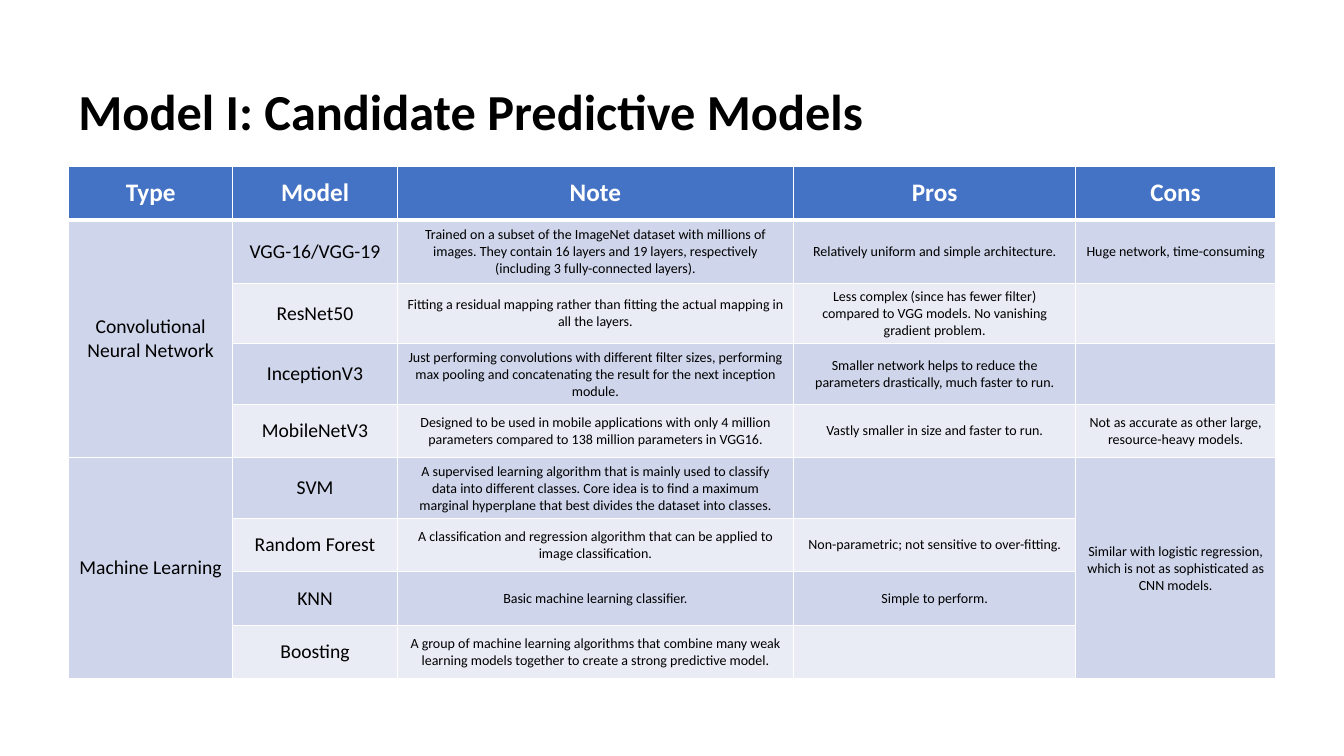
from dataclasses import dataclass

import pptx
import pptx.dml.color
import pptx.enum.text
import pptx.oxml
import pptx.oxml.ns
import pptx.util

Inches = pptx.util.Inches
Pt = pptx.util.Pt
RGB = pptx.dml.color.RGBColor.from_string
ALIGN = pptx.enum.text.PP_ALIGN
MIDDLE = pptx.enum.text.MSO_ANCHOR.MIDDLE


@dataclass(frozen=True)
class Theme:
    font: str = "Calibri"
    ink: str = "000000"
    white: str = "FFFFFF"
    header: str = "4472C4"
    bands: tuple[str, str] = ("CFD5EA", "E9EBF5")
    title_size: int = 36
    header_size: int = 18
    name_size: int = 14
    detail_size: int = 10
    border: int = 1
    header_border: int = 3


@dataclass(frozen=True)
class Candidate:
    model: str
    note: str
    pros: str = ""
    cons: str = ""
    type: str = ""


@dataclass(frozen=True)
class Style:
    size: int
    color: str
    bold: bool = False


THEME = Theme()
TITLE = Style(THEME.title_size, THEME.ink, True)
HEADER = Style(THEME.header_size, THEME.white, True)
NAME = Style(THEME.name_size, THEME.ink)
DETAIL = Style(THEME.detail_size, THEME.ink)

HEADINGS = ("Type", "Model", "Note", "Pros", "Cons")
COL_WIDTHS = (1.63, 1.63, 3.93, 2.8, 1.98)
ROW_HEIGHTS = (0.53, 0.63) + (0.53,) * 7
MERGES = (((1, 0), (4, 0)), ((5, 0), (8, 0)), ((5, 4), (8, 4)))

CANDIDATES = (
    Candidate(
        "VGG-16/VGG-19",
        "Trained on a subset of the ImageNet dataset with millions of images. "
        "They contain 16 layers and 19 layers, respectively "
        "(including 3 fully-connected layers).",
        "Relatively uniform and simple architecture.",
        "Huge network, time-consuming",
        "Convolutional Neural Network",
    ),
    Candidate(
        "ResNet50",
        "Fitting a residual mapping rather than fitting the actual mapping "
        "in all the layers.",
        "Less complex (since has fewer filter) compared to VGG models. "
        "No vanishing gradient problem.",
    ),
    Candidate(
        "InceptionV3",
        "Just performing convolutions with different filter sizes, performing "
        "max pooling and concatenating the result for the next inception module.",
        "Smaller network helps to reduce the parameters drastically, "
        "much faster to run.",
    ),
    Candidate(
        "MobileNetV3",
        "Designed to be used in mobile applications with only 4 million "
        "parameters compared to 138 million parameters in VGG16.",
        "Vastly smaller in size and faster to run.",
        "Not as accurate as other large, resource-heavy models.",
    ),
    Candidate(
        "SVM",
        "A supervised learning algorithm that is mainly used to classify data "
        "into different classes. Core idea is to find a maximum marginal "
        "hyperplane that best divides the dataset into classes.",
        cons="Similar with logistic regression, which is not as sophisticated "
        "as CNN models.",
        type="Machine Learning",
    ),
    Candidate(
        "Random Forest",
        "A classification and regression algorithm that can be applied to "
        "image classification.",
        "Non-parametric; not sensitive to over-fitting.",
    ),
    Candidate("KNN", "Basic machine learning classifier.", "Simple to perform."),
    Candidate(
        "Boosting",
        "A group of machine learning algorithms that combine many weak learning "
        "models together to create a strong predictive model.",
    ),
)


def set_attrs(target: object, values: dict[str, object]) -> None:
    for name, value in values.items():
        setattr(target, name, value)


def write(p: object, text: str, style: Style) -> None:
    font = p.font
    if text:
        r = p.add_run()
        r.text = text
        font = r.font
    set_attrs(font, {"name": THEME.font, "size": Pt(style.size), "bold": style.bold})
    font.color.rgb = RGB(style.color)


def add_border(cell: object, side: str, width: int) -> None:
    ns = pptx.oxml.ns.nsdecls("a")
    cell._tc.get_or_add_tcPr().append(pptx.oxml.parse_xml(
        f'<a:ln{side} {ns} w="{Pt(width)}"><a:solidFill>'
        f'<a:srgbClr val="{THEME.white}"/></a:solidFill></a:ln{side}>'
    ))


def format_cell(cell: object, row: int, text: str, style: Style) -> None:
    top = THEME.header_border if row == 1 else THEME.border
    bottom = THEME.header_border if row == 0 else THEME.border
    widths = {"L": THEME.border, "R": THEME.border, "T": top, "B": bottom}
    for side, width in widths.items():
        add_border(cell, side, width)
    cell.fill.solid()
    fill = THEME.bands[(row - 1) % 2] if row else THEME.header
    cell.fill.fore_color.rgb = RGB(fill)
    cell.vertical_anchor = MIDDLE
    p = cell.text_frame.paragraphs[0]
    p.alignment = ALIGN.CENTER
    write(p, text, style)


def add_title(s: object, text: str) -> None:
    sp = s.shapes.add_textbox(Inches(0.68), Inches(0.41), Inches(11.5), Inches(1.45))
    tf = sp.text_frame
    set_attrs(tf, {"word_wrap": True, "vertical_anchor": MIDDLE})
    p = tf.paragraphs[0]
    set_attrs(p, {"alignment": ALIGN.LEFT, "line_spacing": 0.9})
    write(p, text, TITLE)


def add_candidates(s: object) -> None:
    table = s.shapes.add_table(
        len(ROW_HEIGHTS), len(COL_WIDTHS), Inches(0.68), Inches(1.65),
        Inches(sum(COL_WIDTHS)), Inches(sum(ROW_HEIGHTS)),
    ).table
    for column, width in zip(table.columns, COL_WIDTHS):
        column.width = Inches(width)
    for row, height in zip(table.rows, ROW_HEIGHTS):
        row.height = Inches(height)
    for first, last in MERGES:
        table.cell(*first).merge(table.cell(*last))
    for col, heading in enumerate(HEADINGS):
        format_cell(table.cell(0, col), 0, heading, HEADER)
    for row, c in enumerate(CANDIDATES, 1):
        for col, text in enumerate((c.type, c.model, c.note, c.pros, c.cons)):
            format_cell(table.cell(row, col), row, text, NAME if col < 2 else DETAIL)


def main() -> None:
    prs = pptx.Presentation()
    set_attrs(prs, {"slide_width": Inches(13.33), "slide_height": Inches(7.5)})
    s = prs.slides.add_slide(prs.slide_layouts[6])
    add_title(s, "Model I: Candidate Predictive Models")
    add_candidates(s)
    prs.save("out.pptx")


if __name__ == "__main__":
    main()
